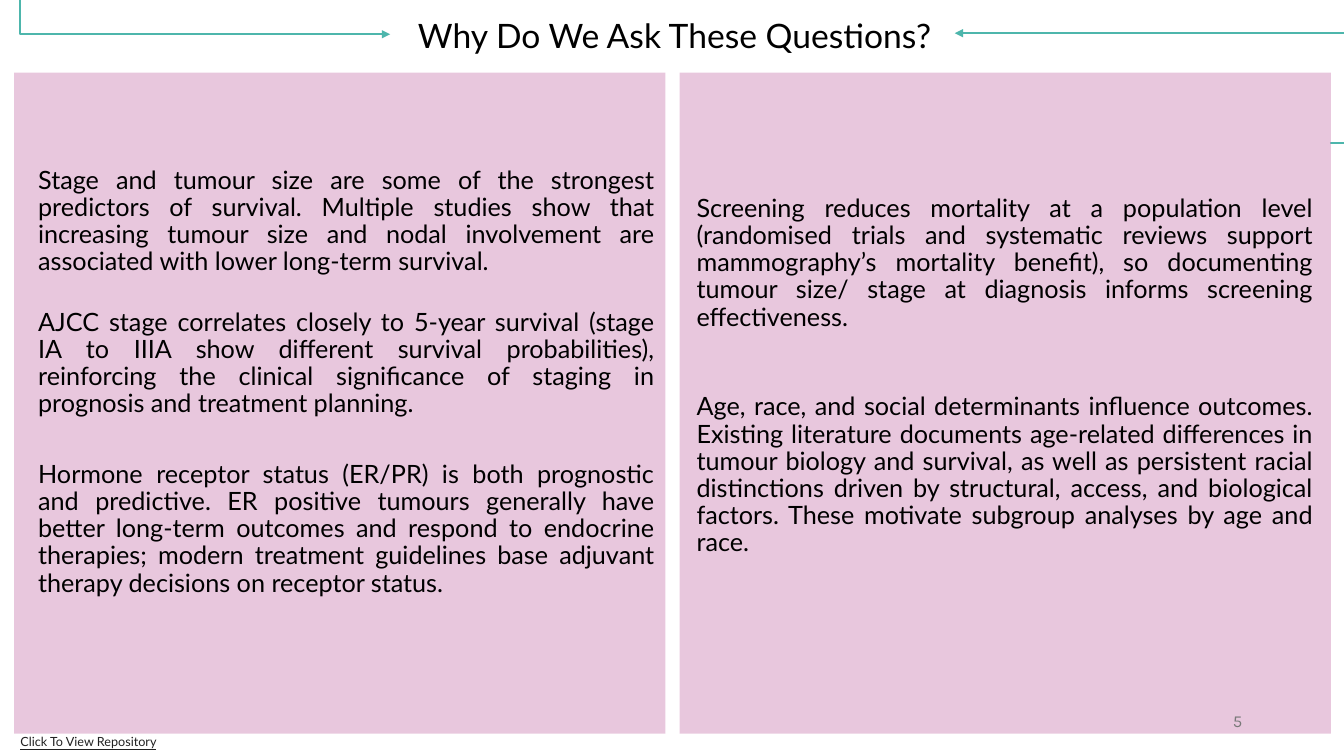
from dataclasses import dataclass

from pptx import Presentation
from pptx.dml.color import RGBColor
from pptx.enum.shapes import MSO_CONNECTOR, MSO_SHAPE
from pptx.enum.text import MSO_ANCHOR, MSO_AUTO_SIZE, PP_ALIGN
from pptx.oxml.ns import qn
from pptx.oxml.xmlchemy import OxmlElement
from pptx.slide import Slide
from pptx.util import Inches, Pt

TEAL, PINK, BLACK, GREY, CHARCOAL = "4DB6AC", "D291BC", "000000", "797979", "212121"
PANEL_TOP, PANEL_WIDTH, PANEL_HEIGHT = 0.72, 6.46, 6.56
TEXT_WIDTH = 6.31


@dataclass
class Passage:
    top: float
    height: float
    text: str


@dataclass
class Panel:
    left: float
    text_left: float
    passages: list[Passage]


@dataclass
class Arrow:
    start: tuple[float, float]
    end: tuple[float, float]
    bend: int  # position of the bend, in 1/100000 of the width


ARROWS = [
    Arrow((0.2, 0), (3.87, 0.34), 0),
    Arrow((13.19, 1.42), (9.47, 0.33), -4300),
]

PANELS = [
    Panel(0.14, 0.28, [
        Passage(1.61, 1.19, "Stage and tumour size are some of the strongest predictors of "
                "survival. Multiple studies show that increasing tumour size and nodal "
                "involvement are associated with lower long-term survival."),
        Passage(3.02, 1.19, "AJCC stage correlates closely to 5-year survival (stage IA to "
                "IIIA show different survival probabilities), reinforcing the clinical "
                "significance of staging in prognosis and treatment planning."),
        Passage(4.53, 1.46, "Hormone receptor status (ER/PR) is both prognostic and "
                "predictive. ER positive tumours generally have better long-term outcomes "
                "and respond to endocrine therapies; modern treatment guidelines base "
                "adjuvant therapy decisions on receptor status."),
    ]),
    Panel(6.74, 6.81, [
        Passage(1.89, 1.46, "Screening reduces mortality at a population level (randomised "
                "trials and systematic reviews support mammography’s mortality benefit), "
                "so documenting tumour size/ stage at diagnosis informs screening "
                "effectiveness."),
        Passage(3.86, 1.74, "Age, race, and social determinants influence outcomes. "
                "Existing literature documents age-related differences in tumour biology "
                "and survival, as well as persistent racial distinctions driven by "
                "structural, access, and biological factors. These motivate subgroup "
                "analyses by age and race."),
    ]),
]


def color(value: str) -> RGBColor:
    return RGBColor.from_string(value)


def add_text(slide: Slide, text: str, left: float, top: float, width: float,
             height: float, *, size: float, font: str = "Lato", fill: str = BLACK,
             align: PP_ALIGN = PP_ALIGN.RIGHT, anchor: MSO_ANCHOR = MSO_ANCHOR.BOTTOM,
             line_spacing: float = 0.9, underline: bool = False,
             grow: bool = False) -> None:
    shape = slide.shapes.add_textbox(Inches(left), Inches(top), Inches(width), Inches(height))
    frame = shape.text_frame
    frame.word_wrap = True
    frame.auto_size = MSO_AUTO_SIZE.SHAPE_TO_FIT_TEXT if grow else MSO_AUTO_SIZE.NONE
    frame.vertical_anchor = anchor
    paragraph = frame.paragraphs[0]
    paragraph.alignment = align
    paragraph.line_spacing = line_spacing
    run = paragraph.add_run()
    run.text = text
    run.font.name = font
    run.font.size = Pt(size)
    run.font.color.rgb = color(fill)
    if underline:
        run.font.underline = True


def add_arrow(slide: Slide, arrow: Arrow) -> None:
    points = [Inches(value) for value in (*arrow.start, *arrow.end)]
    connector = slide.shapes.add_connector(MSO_CONNECTOR.ELBOW, *points)
    connector.line.color.rgb = color(TEAL)
    connector.line.width = Pt(1.5)
    properties = connector.element.spPr
    # Bend position
    guide = OxmlElement("a:gd")
    guide.set("name", "adj1")
    guide.set("fmla", f"val {arrow.bend}")
    properties.find(qn("a:prstGeom")).find(qn("a:avLst")).append(guide)
    # Arrowhead, no shadow
    head = OxmlElement("a:tailEnd")
    head.set("type", "triangle")
    properties.find(qn("a:ln")).append(head)
    properties.append(OxmlElement("a:effectLst"))


def add_panel(slide: Slide, panel: Panel) -> None:
    shape = slide.shapes.add_shape(MSO_SHAPE.RECTANGLE, Inches(panel.left), Inches(PANEL_TOP),
                                   Inches(PANEL_WIDTH), Inches(PANEL_HEIGHT))
    shape.shadow.inherit = False
    shape.line.fill.background()
    shape.fill.solid()
    shape.fill.fore_color.rgb = color(PINK)
    alpha = OxmlElement("a:alpha")
    alpha.set("val", "50000")
    shape.element.spPr.find(qn("a:solidFill")).find(qn("a:srgbClr")).append(alpha)
    for passage in panel.passages:
        add_text(slide, passage.text, panel.text_left, passage.top, TEXT_WIDTH,
                 passage.height, size=18, align=PP_ALIGN.JUSTIFY,
                 anchor=MSO_ANCHOR.TOP, grow=True)


def main() -> None:
    presentation = Presentation()
    presentation.slide_width = Inches(13.33)
    presentation.slide_height = Inches(7.5)
    slide = presentation.slides.add_slide(presentation.slide_layouts[6])

    # Title between two arrows
    for arrow in ARROWS:
        add_arrow(slide, arrow)
    add_text(slide, "Why Do We Ask These Questions?", 3.66, 0.09, 6.06, 0.51,
             size=24, align=PP_ALIGN.CENTER)

    # Panels with their passages
    for panel in PANELS:
        add_panel(slide, panel)

    # Footer
    add_text(slide, "5", 9.42, 6.95, 3, 0.4, size=12, font="Karla", fill=GREY,
             anchor=MSO_ANCHOR.MIDDLE, line_spacing=1)
    add_text(slide, "Click To View Repository", 0, 7.2, 1.65, 0.28, size=9,
             fill=CHARCOAL, underline=True)

    presentation.save("out.pptx")


if __name__ == "__main__":
    main()
